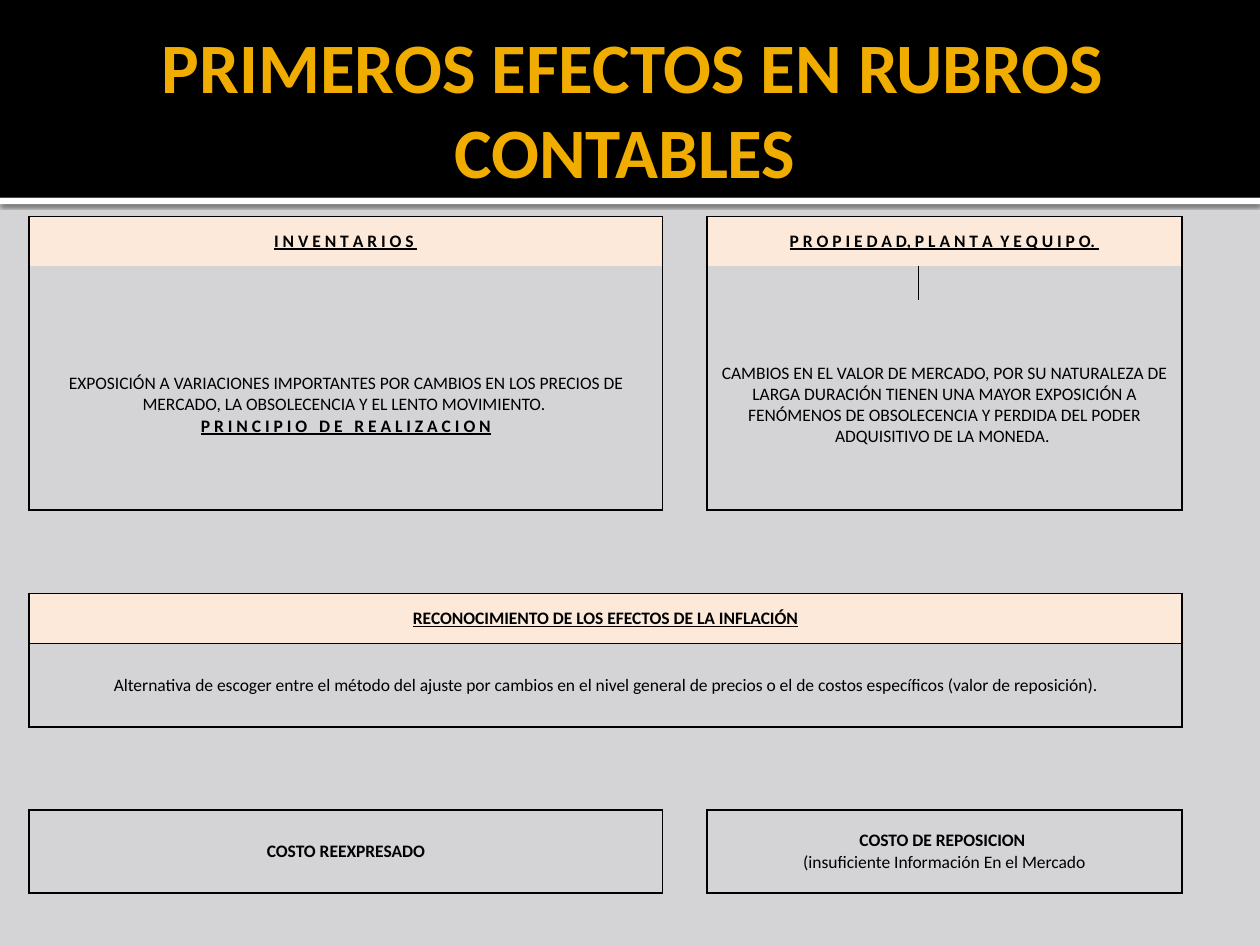
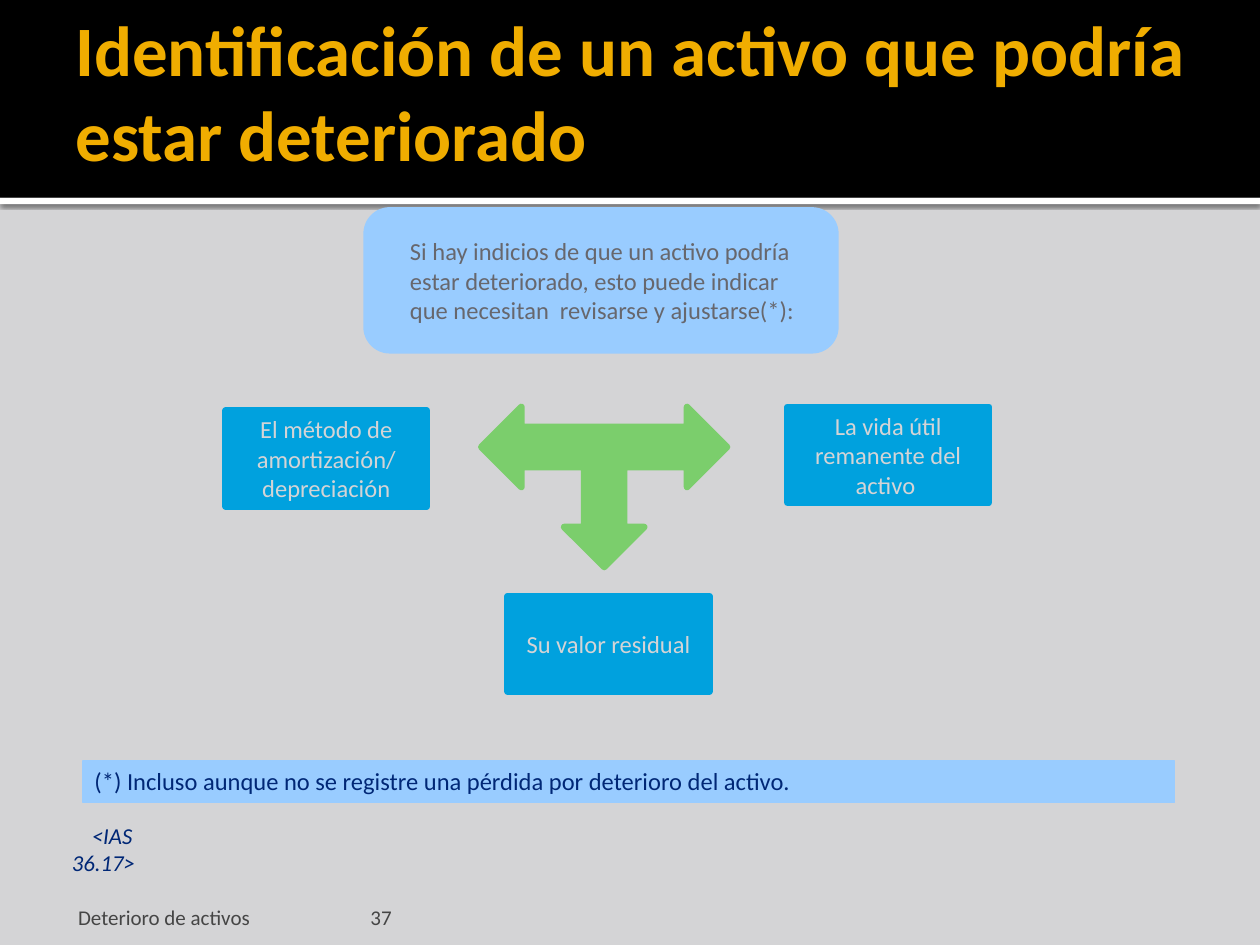
from dataclasses import dataclass
from typing import Any

from lxml.etree import SubElement
from pptx import Presentation
from pptx.dml.color import RGBColor
from pptx.enum.shapes import MSO_SHAPE as Preset
from pptx.enum.text import MSO_ANCHOR as Anchor, PP_ALIGN as Align
from pptx.oxml import parse_xml
from pptx.oxml.ns import nsdecls, qn
from pptx.util import Inches, Pt

BLACK = RGBColor(0x00, 0x00, 0x00)
WHITE = RGBColor(0xFF, 0xFF, 0xFF)
PALE_GREY = RGBColor(0xD4, 0xD4, 0xD6)
GOLD = RGBColor(0xF0, 0xAD, 0x00)
PEACH = RGBColor(0xFD, 0xE9, 0xD9)
SKY = RGBColor(0x99, 0xCC, 0xFF)
BLUE = RGBColor(0x00, 0xA1, 0xDE)
NAVY = RGBColor(0x00, 0x27, 0x76)
GREEN = RGBColor(0x7B, 0xCE, 0x6C)
MID_GREY = RGBColor(0x67, 0x67, 0x6D)
DARK_GREY = RGBColor(0x45, 0x45, 0x45)

FONT = "Calibri"
COLUMNS, ROWS = 100, 75
SLIDE_WIDTH, SLIDE_HEIGHT = Inches(10), Inches(7.5)
NO_TABLE_STYLE = "{2D5ABB26-0587-4C30-8999-92F81FD0307C}"
BODY_INSETS = (0.09, 0.04, 0.09, 0.04)
OUTLINE = 3.78


@dataclass(frozen=True)
class Area:
    column: float
    row: float
    width: float
    height: float

    def lengths(self) -> tuple[int, int, int, int]:
        across, down = SLIDE_WIDTH / COLUMNS, SLIDE_HEIGHT / ROWS
        return (round(self.column * across), round(self.row * down),
                round(self.width * across), round(self.height * down))


@dataclass(frozen=True)
class Words:
    text: str
    bold: bool = False
    underline: bool = False
    italic: bool = False


@dataclass(frozen=True)
class Style:
    size: float
    color: RGBColor
    align: Align = Align.LEFT
    anchor: Anchor = Anchor.MIDDLE
    insets: tuple[float, float, float, float] = BODY_INSETS


@dataclass(frozen=True)
class Cell:
    row: int
    column: int
    rows: int
    columns: int
    words: tuple[Words, ...]
    heading: bool = False


@dataclass(frozen=True)
class Frame:
    row: int
    column: int
    rows: int
    columns: int


def assign(target: Any, values: dict[str, Any]) -> None:
    for name, value in values.items():
        setattr(target, name, value)


def write(frame: Any, paragraphs: list[tuple[Words, ...]], style: Style) -> None:
    left, top, right, bottom = map(Inches, style.insets)
    assign(frame, {"word_wrap": True, "vertical_anchor": style.anchor,
                   "margin_left": left, "margin_top": top,
                   "margin_right": right, "margin_bottom": bottom})
    fill_paragraphs(frame, paragraphs, style)


def fill_paragraphs(frame: Any, paragraphs: list[tuple[Words, ...]], style: Style) -> None:
    for index, pieces in enumerate(paragraphs):
        paragraph = frame.add_paragraph() if index else frame.paragraphs[0]
        paragraph.alignment = style.align
        for position, piece in enumerate(pieces):
            if position:
                paragraph.add_line_break()
            run = paragraph.add_run()
            run.text = piece.text
            assign(run.font, {"name": FONT, "size": Pt(style.size), "bold": piece.bold,
                              "underline": piece.underline, "italic": piece.italic})
            run.font.color.rgb = style.color


def add_text(slide: Any, area: Area, paragraphs: list[tuple[Words, ...]], style: Style) -> Any:
    box = slide.shapes.add_textbox(*area.lengths())
    write(box.text_frame, paragraphs, style)
    return box


def add_block(slide: Any, preset: Preset, area: Area, color: RGBColor, outline: float = 0) -> Any:
    block = slide.shapes.add_shape(preset, *area.lengths())
    block.shadow.inherit = False
    block.fill.solid()
    block.fill.fore_color.rgb = color
    if outline:
        block.line.color.rgb = color
        block.line.width = Pt(outline)
        SubElement(block.element.spPr.find(qn("a:ln")), qn("a:round"))
    else:
        block.line.fill.background()
    return block


def add_base(deck: Any, title: str, align: Align, insets: tuple[float, float, float, float]) -> Any:
    slide = deck.slides.add_slide(deck.slide_layouts[6])
    slide.background.fill.solid()
    slide.background.fill.fore_color.rgb = PALE_GREY
    rule = add_block(slide, Preset.RECTANGLE, Area(0, 15.7, COLUMNS, 0.5), WHITE)
    effects = rule.element.spPr.find(qn("a:effectLst"))
    effects.append(parse_xml(
        f'<a:outerShdw {nsdecls("a")} blurRad="{Pt(2.5)}" dist="{Pt(0.8)}" dir="5400000">'
        '<a:srgbClr val="000000"><a:alpha val="60000"/></a:srgbClr></a:outerShdw>'))
    add_block(slide, Preset.RECTANGLE, Area(0, 0, COLUMNS, 15.7), BLACK)
    add_text(slide, Area(5, 1.7, 90, 13.7), [(Words(title, bold=True),)],
             Style(40.5, GOLD, align, insets=insets))
    return slide


def draw_frame(table: Any, frame: Frame) -> None:
    last_row, last_column = frame.row + frame.rows, frame.column + frame.columns
    for row in range(frame.row, last_row):
        for column in range(frame.column, last_column):
            cell = table.cell(row, column)
            height = cell.span_height if cell.is_merge_origin else 1
            width = cell.span_width if cell.is_merge_origin else 1
            sides = {"lnL": column == frame.column, "lnR": column + width == last_column,
                     "lnT": row == frame.row, "lnB": row + height == last_row}
            drawn = [side for side, present in sides.items() if present]
            for index, side in enumerate(drawn):
                cell._tc.get_or_add_tcPr().insert(index, parse_xml(
                    f'<a:{side} {nsdecls("a")} w="{Pt(1)}"><a:solidFill>'
                    f'<a:srgbClr val="{BLACK}"/></a:solidFill></a:{side}>'))


def add_effects_table(slide: Any) -> None:
    widths = [25.1, 3.5, 21.7, 3.5, 16.8, 2.9, 18]
    heights = [3.9, 2.7, 6.6, 10.1, 6.6, 4, 6.6, 6.6, 6.6]
    area = Area(2.3, 17.2, sum(widths), sum(heights))
    table = slide.shapes.add_table(len(heights), len(widths), *area.lengths()).table
    table._tbl.tblPr.find(qn("a:tableStyleId")).text = NO_TABLE_STYLE
    assign(table, {"first_row": False, "horz_banding": False})
    for column, width in zip(table.columns, widths):
        column.width = round(width * SLIDE_WIDTH / COLUMNS)
    for row, height in zip(table.rows, heights):
        row.height = round(height * SLIDE_HEIGHT / ROWS)

    contents = [
        Cell(0, 0, 1, 3, (Words("I N V E N T A R I O S ", True, True),), True),
        Cell(0, 4, 1, 3, (Words("P R O P I E D A D, P L A N T A  Y E Q U I P O. ", True, True),), True),
        Cell(2, 0, 2, 3, (
            Words("EXPOSICIÓN A VARIACIONES IMPORTANTES POR CAMBIOS EN LOS PRECIOS DE MERCADO, "
                  "LA OBSOLECENCIA Y EL LENTO MOVIMIENTO. "),
            Words("P R I N C I P I O   D E   R E A L I Z A C I O N", True, True))),
        Cell(2, 4, 2, 3, (
            Words("CAMBIOS EN EL VALOR DE MERCADO, POR SU NATURALEZA DE LARGA DURACIÓN TIENEN "
                  "UNA MAYOR EXPOSICIÓN A FENÓMENOS DE OBSOLECENCIA Y PERDIDA DEL PODER "
                  "ADQUISITIVO DE LA MONEDA. "),)),
        Cell(5, 0, 1, 7, (Words("RECONOCIMIENTO DE LOS EFECTOS DE LA INFLACIÓN", True, True),), True),
        Cell(6, 0, 1, 7, (
            Words("Alternativa de escoger entre el método del ajuste por cambios en el nivel general "
                  "de precios o el de costos específicos (valor de reposición)."),)),
        Cell(8, 0, 1, 3, (Words("COSTO REEXPRESADO", True),)),
        Cell(8, 4, 1, 3, (Words("COSTO DE REPOSICION ", True),
                          Words("(insuficiente Información En el Mercado"))),
    ]
    for cell in table.iter_cells():
        assign(cell, {"margin_left": 0, "margin_top": 0, "margin_right": 0, "margin_bottom": 0,
                      "vertical_anchor": Anchor.MIDDLE})
        cell.fill.background()
        SubElement(cell.text_frame.paragraphs[0]._p, qn("a:endParaRPr"), sz="1000")
    for content in contents:
        cell = table.cell(content.row, content.column)
        cell.merge(table.cell(content.row + content.rows - 1, content.column + content.columns - 1))
        fill_paragraphs(cell.text_frame, [content.words], Style(10, BLACK, Align.CENTER))
        if content.heading:
            cell.fill.solid()
            cell.fill.fore_color.rgb = PEACH
    for frame in (Frame(0, 0, 4, 3), Frame(0, 4, 4, 3), Frame(5, 0, 2, 7),
                  Frame(8, 0, 1, 3), Frame(8, 4, 1, 3)):
        draw_frame(table, frame)


def add_accounts_slide(deck: Any) -> None:
    slide = add_base(deck, "PRIMEROS EFECTOS EN RUBROS CONTABLES ", Align.CENTER,
                     (0.1, 0.05, 0.05, 0.05))
    add_effects_table(slide)


def add_impairment_slide(deck: Any) -> None:
    slide = add_base(deck, "Identificación de un activo que podría estar deteriorado", Align.LEFT,
                     (0.1, 0.04, 0.05, 0.31))
    footers = [(Area(28.9, 70.8, 60.2, 3), "37", 0.05),
               (Area(5, 70.8, 23.3, 3), "Deterioro de activos", 0.12)]
    for area, text, inset in footers:
        add_text(slide, area, [(Words(text),)],
                 Style(12, DARK_GREY, anchor=Anchor.BOTTOM, insets=(inset, 0.04, 0.05, 0)))

    arrows = add_block(slide, Preset.LEFT_RIGHT_UP_ARROW, Area(38.2, 32.3, 19.5, 12.7), GREEN, OUTLINE)
    arrows.rotation = 180

    premise = add_block(slide, Preset.ROUNDED_RECTANGLE, Area(29.1, 16.7, 37.2, 11.1), SKY, OUTLINE)
    write(premise.text_frame,
          [(Words("Si hay indicios de que un activo podría estar deteriorado, esto puede indicar "
                  "que necesitan  revisarse y ajustarse(*):"),)], Style(14, MID_GREY))
    premise_paragraph = premise.text_frame.paragraphs[0]
    premise_paragraph.space_after = Pt(2.7)
    premise_paragraph._p.get_or_add_pPr().set("marL", str(Inches(0.2)))

    reviews = [(17.9, 32.6, ["El método de amortización/", "depreciación"]),
               (62.5, 32.3, ["La vida útil remanente del activo "]),
               (40.3, 47.3, ["Su valor residual"])]
    for column, row, lines in reviews:
        review = add_block(slide, Preset.RECTANGLE, Area(column, row, 16, 7.6), BLUE, OUTLINE)
        write(review.text_frame, [(Words(line),) for line in lines],
              Style(14, PALE_GREY, Align.CENTER))

    note = add_block(slide, Preset.RECTANGLE, Area(6.6, 60.4, 86.6, 3.3), SKY, 0.75)
    write(note.text_frame,
          [(Words("(*) Incluso aunque no se registre una pérdida por deterioro del activo."),)],
          Style(14, NAVY, anchor=Anchor.TOP))
    standard = add_text(slide, Area(4.8, 64.8, 11.9, 3.1), [(Words("<IAS 36.17>", italic=True),)],
                        Style(13, NAVY, anchor=Anchor.TOP, insets=(0.09, 0.04, 0.25, 0.04)))
    standard.text_frame.paragraphs[0]._p.get_or_add_pPr().set("indent", str(Inches(0.16)))


def main() -> None:
    deck = Presentation()
    assign(deck, {"slide_width": SLIDE_WIDTH, "slide_height": SLIDE_HEIGHT})
    add_accounts_slide(deck)
    add_impairment_slide(deck)
    deck.save("out.pptx")


main()
